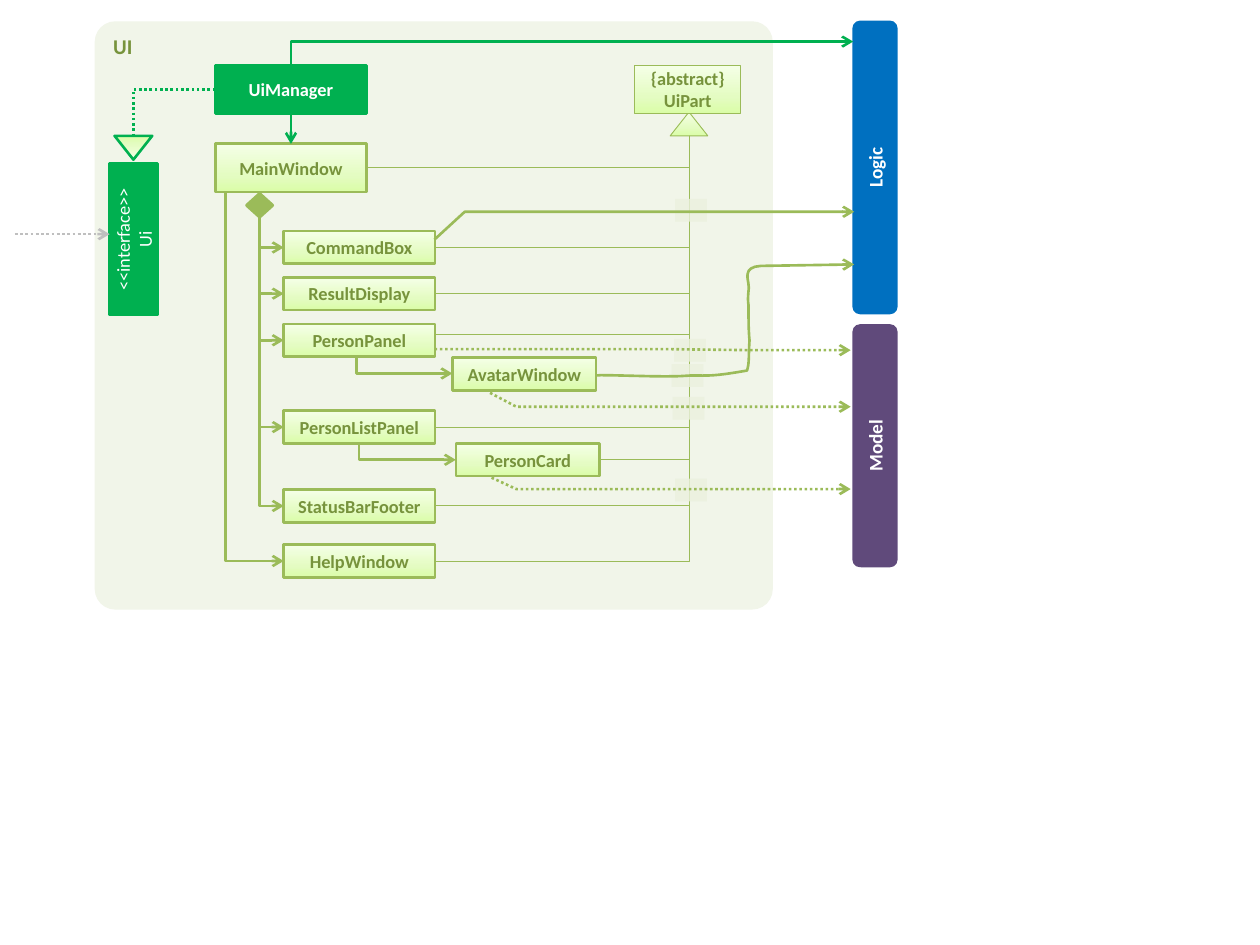
import lxml.etree
import pptx
import pptx.dml.color
import pptx.enum.dml
import pptx.enum.shapes
import pptx.enum.text
import pptx.oxml.ns
import pptx.util

Cm = pptx.util.Cm
Pt = pptx.util.Pt
qn = pptx.oxml.ns.qn
SHAPE = pptx.enum.shapes.MSO_SHAPE
CONNECTOR = pptx.enum.shapes.MSO_CONNECTOR

OLIVE, OLIVE_TEXT, GREEN, WHITE = "9BBB59", "77933C", "00B050", "FFFFFF"
PALE = ((0, "DAFDA7"), (35, "E4FCC2"), (100, "F5FFE7"))


def rgb(color):
    return pptx.dml.color.RGBColor.from_string(color)


def bezier(p0, p1, p2, p3, steps=8):
    """Points along a cubic curve, without its first one."""
    for i in range(1, steps + 1):
        t = i / steps
        u = 1 - t
        yield tuple(u**3 * a + 3 * u * u * t * b + 3 * u * t * t * c + t**3 * d
                    for a, b, c, d in zip(p0, p1, p2, p3))


class Diagram:
    font = "Calibri"

    def __init__(self, slide):
        self.shapes = slide.shapes

    def fill(self, s, fill, alpha=None):
        """Fill with one colour, or with gradient stops running upwards."""
        if isinstance(fill, str):
            s.fill.solid()
            s.fill.fore_color.rgb = rgb(fill)
            if alpha:
                clr = s.element.spPr.find(".//" + qn("a:srgbClr"))
                lxml.etree.SubElement(clr, qn("a:alpha"), val=str(alpha * 1000))
            return
        s.fill.gradient()
        s.fill.gradient_angle = 90
        stops = s.element.spPr.find(".//" + qn("a:gsLst"))
        for stop in list(stops):
            stops.remove(stop)
        for pos, color in fill:
            gs = lxml.etree.SubElement(stops, qn("a:gs"), pos=str(pos * 1000))
            lxml.etree.SubElement(gs, qn("a:srgbClr"), val=color)

    def stroke(self, s, color, width=1.5, dotted=False, arrow=False):
        s.line.color.rgb = rgb(color)
        s.line.width = Pt(width)
        if dotted:
            s.line.dash_style = pptx.enum.dml.MSO_LINE.ROUND_DOT
        if arrow:
            ln = s.element.spPr.find(qn("a:ln"))
            lxml.etree.SubElement(ln, qn("a:tailEnd"), type="arrow")

    def shape(self, kind, x, y, w, h, fill, line=None, width=1.5, alpha=None):
        s = self.shapes.add_shape(kind, Cm(x), Cm(y), Cm(w), Cm(h))
        s.shadow.inherit = False
        self.fill(s, fill, alpha)
        if line:
            self.stroke(s, line, width)
        else:
            s.line.fill.background()
        return s

    def label(self, s, text, color, size=10.5, bold=True):
        tf = s.text_frame
        tf.word_wrap = True
        tf.margin_left = tf.margin_right = 0
        tf.vertical_anchor = pptx.enum.text.MSO_ANCHOR.MIDDLE
        tf.text = text
        for p in tf.paragraphs:
            p.alignment = pptx.enum.text.PP_ALIGN.CENTER
            p.font.name, p.font.size, p.font.bold = self.font, Pt(size), bold
            p.font.color.rgb = rgb(color)

    def box(self, text, x, y, w=3.05, h=0.66, fill=PALE, line=OLIVE, width=1.5,
            color=OLIVE_TEXT):
        s = self.shape(SHAPE.RECTANGLE, x, y, w, h, fill, line, width)
        self.label(s, text, color)
        return s

    def upright(self, kind, text, x, y, w, h, fill, size=11, bold=True, line=None):
        """A box turned so that its text reads upwards."""
        s = self.shape(kind, x, y, w, h, fill, line)
        s.rotation = 270
        self.label(s, text, WHITE, size, bold)

    def link(self, kind, start, end, *style, **options):
        c = self.shapes.add_connector(kind, *map(Cm, start + end))
        self.stroke(c, *style, **options)
        lxml.etree.SubElement(c.element.spPr, qn("a:effectLst"))
        return c

    def elbow(self, start, end, *style, down_first=True, **options):
        """A connector with a single corner."""
        if down_first:
            (x1, y1), (x2, y2) = start, end
            cx, cy, dx, dy = (x1 + x2) / 2, (y1 + y2) / 2, x2 - x1, y2 - y1
            start = (cx - dy / 2, cy + dx / 2)
            end = (cx + dy / 2, cy - dx / 2)
        c = self.link(CONNECTOR.ELBOW, start, end, *style, **options)
        spPr = c.element.spPr
        spPr.find(qn("a:prstGeom")).set("prst", "bentConnector2")
        if down_first:
            spPr.find(qn("a:xfrm")).set("rot", str(90 * 60000))

    def route(self, points, dotted=False):
        """An open arrow through the given points."""
        (x, y), *rest = [(Cm(px), Cm(py)) for px, py in points]
        builder = self.shapes.build_freeform(x, y)
        builder.add_line_segments(rest, close=False)
        s = builder.convert_to_shape()
        s.shadow.inherit = False
        s.fill.background()
        self.stroke(s, OLIVE, dotted=dotted, arrow=True)

    def mask(self, x, y):
        """A pale patch that softens the line below a crossing."""
        self.shape(SHAPE.RECTANGLE, x, y, 0.64, 0.46, "EBF1DE", alpha=80)


def main():
    prs = pptx.Presentation()
    prs.slide_width, prs.slide_height = Cm(25.4), Cm(19.05)
    d = Diagram(prs.slides.add_slide(prs.slide_layouts[6]))

    panel = d.shape(SHAPE.ROUNDED_RECTANGLE, 1.91, 0.43, 13.67, 11.86, "F1F5E9")
    panel.adjustments[0] = 0.035
    d.label(panel, "UI", OLIVE_TEXT, 12)
    tf = panel.text_frame
    tf.margin_left = Cm(0.25)
    tf.vertical_anchor = pptx.enum.text.MSO_ANCHOR.TOP
    tf.paragraphs[0].alignment = pptx.enum.text.PP_ALIGN.LEFT

    window = d.box("MainWindow", 4.34, 2.9, h=0.97)
    manager = d.box("UiManager", 4.34, 1.32, h=0.97, fill=GREEN, line=GREEN, color=WHITE)
    c = d.link(CONNECTOR.STRAIGHT, (5.87, 2.29), (5.87, 2.9), GREEN, arrow=True)
    c.begin_connect(manager, 2)
    c.end_connect(window, 0)

    d.shape(SHAPE.ISOSCELES_TRIANGLE, 13.51, 2.26, 0.76, 0.48, PALE, OLIVE, 0.5)
    d.box("{abstract}\vUiPart", 12.8, 1.32, 2.13, 0.97, width=0.5)
    d.shape(SHAPE.FLOWCHART_DECISION, 4.98, 3.91, 0.51, 0.46, OLIVE, OLIVE, 2)

    children = {"CommandBox": 4.66, "ResultDisplay": 5.59, "PersonPanel": 6.53,
                "PersonListPanel": 8.28, "StatusBarFooter": 9.87, "HelpWindow": 10.98}
    spine = (13.89, 2.74)
    for name, y in children.items():
        d.box(name, 5.72, y)
        middle = y + 0.33
        start = (4.55, 3.87) if name == "HelpWindow" else (5.23, 4.37)
        d.elbow(start, (5.72, middle), OLIVE, arrow=True)
        shift = -0.12 if name == "PersonPanel" else 0
        d.elbow(spine, (8.77, middle + shift), OLIVE, 0.5)
    d.elbow(spine, (7.39, 3.38), OLIVE, 0.5)

    d.box("PersonCard", 9.19, 8.94, 2.9)
    d.elbow(spine, (12.09, 9.27), OLIVE, 0.5)
    d.elbow((7.24, 8.94), (9.19, 9.27), OLIVE, arrow=True)
    d.elbow((7.19, 7.2), (9.12, 7.53), OLIVE, arrow=True)

    d.upright(SHAPE.ROUNDED_RECTANGLE, "Logic", 14.68, 2.92, 5.92, 0.91, "0070C0")
    d.upright(SHAPE.ROUNDED_RECTANGLE, "Model", 15.19, 8.53, 4.9, 0.91, "604A7B")
    d.elbow((5.87, 1.32), (17.2, 0.84), GREEN, arrow=True)

    d.upright(SHAPE.RECTANGLE, "<<interface>>\nUi", 1.17, 4.34, 3.05, 0.97, GREEN,
              10.5, bold=False, line=GREEN)
    s = d.shape(SHAPE.ISOSCELES_TRIANGLE, 2.31, 2.74, 0.76, 0.48, PALE, GREEN)
    s.element.spPr.find(qn("a:xfrm")).set("flipV", "1")
    d.elbow((4.34, 1.8), (2.69, 2.74), GREEN, down_first=False, dotted=True)
    d.link(CONNECTOR.STRAIGHT, (0.3, 4.72), (2.21, 4.72), "BFBFBF", dotted=True, arrow=True)

    d.mask(13.61, 4.01)
    d.route([(8.76, 4.83), (9.37, 4.27), (17.22, 4.27)])
    d.mask(13.61, 9.65)
    d.route([(9.91, 9.63), (10.41, 9.86), (17.15, 9.86)], dotted=True)
    d.mask(13.59, 6.83)
    d.route([(8.76, 7.04), (13.54, 7.04), (15.14, 7.06), (17.15, 7.06)], dotted=True)
    d.box("AvatarWindow", 9.12, 7.21, 2.9)
    d.mask(13.56, 8)
    d.route([(9.88, 7.92), (10.41, 8.2), (17.15, 8.2)], dotted=True)

    d.mask(13.54, 7.34)
    points = [(12.01, 7.57)]
    for curve in (
        ((12.14, 7.54), (13.41, 7.62), (13.92, 7.57)),
        ((14.3, 7.57), (14.38, 7.59), (15.06, 7.47)),
        ((15.11, 7.32), (15.09, 7.16), (15.11, 6.86)),
        ((15.09, 6.65), (15.09, 6.38), (15.09, 6.15)),
        ((15.06, 5.97), (15.11, 5.84), (15.09, 5.74)),
        ((15.09, 5.64), (14.96, 5.38), (15.34, 5.36)),
    ):
        points.extend(bezier(points[-1], *curve))
    d.route(points + [(17.22, 5.33)])

    prs.save("out.pptx")


if __name__ == "__main__":
    main()
